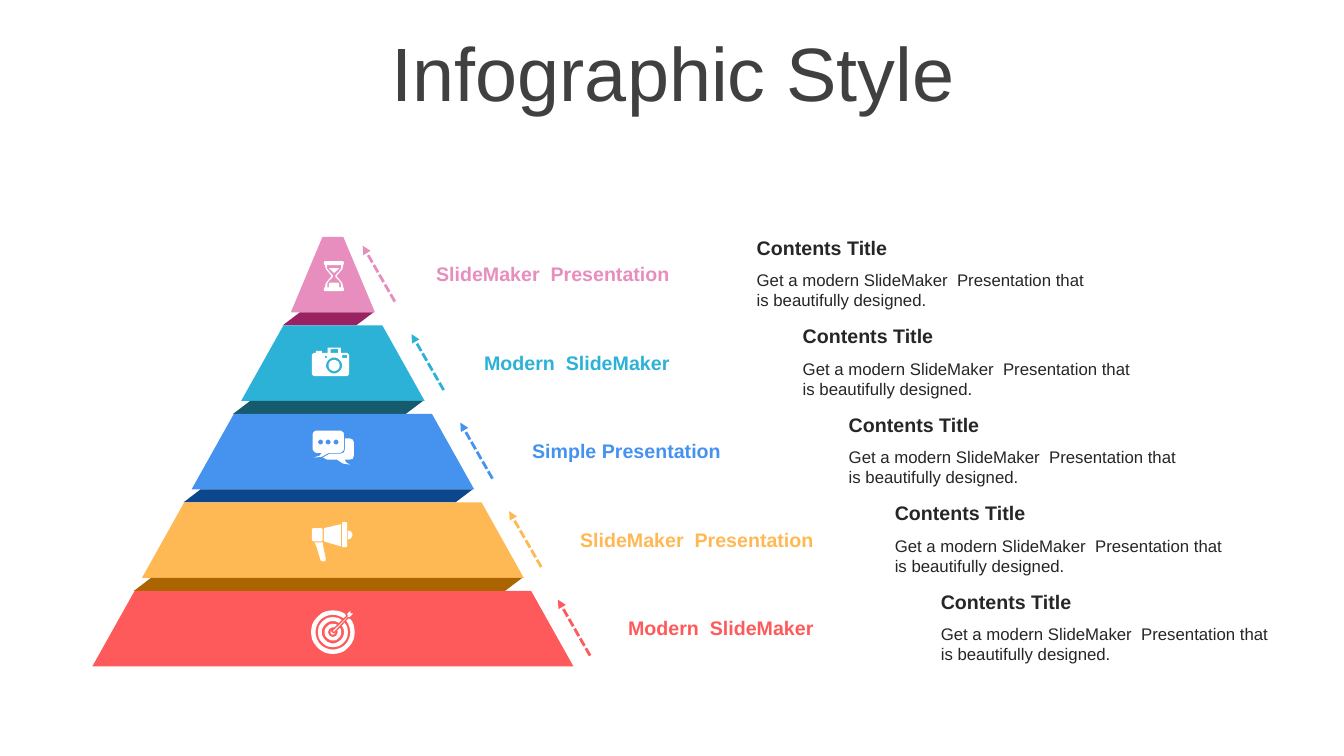
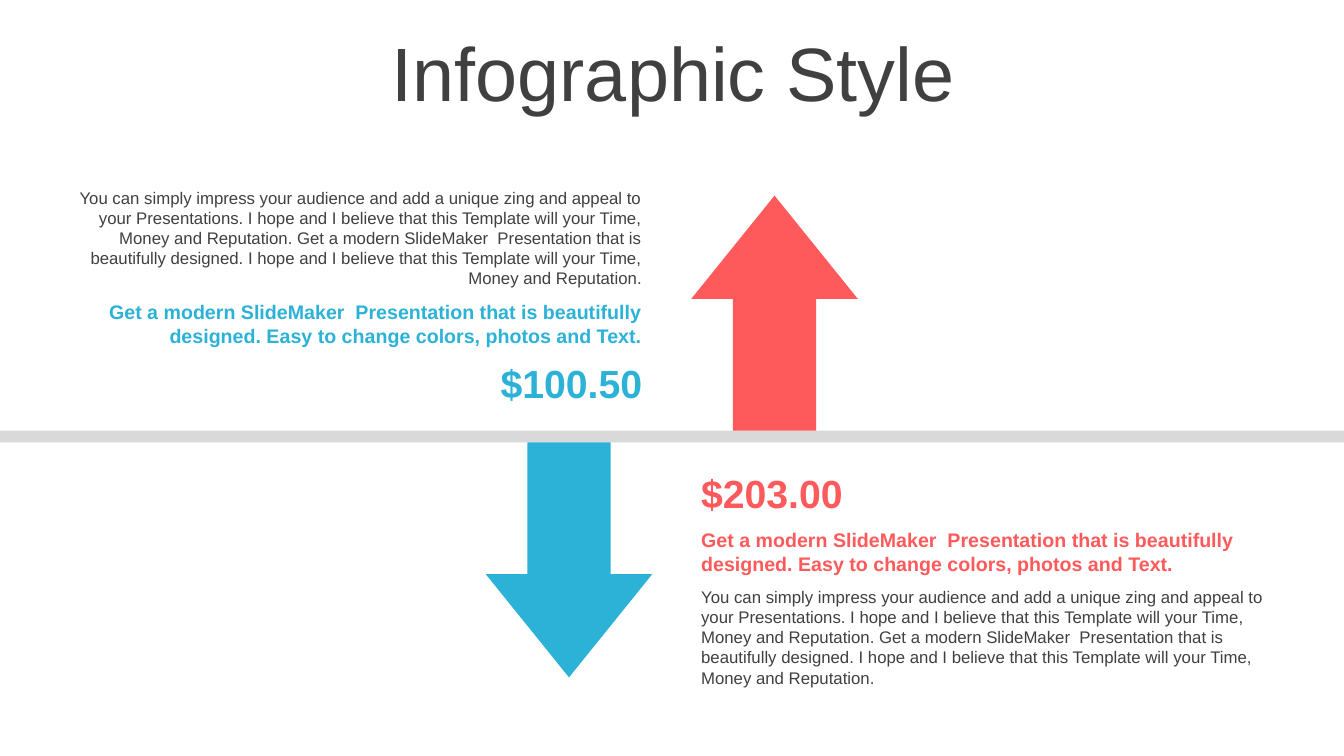
import dataclasses
import math

import pptx
import pptx.dml.color
import pptx.enum.dml
import pptx.enum.shapes
import pptx.enum.text
import pptx.oxml.ns
import pptx.oxml.xmlchemy
import pptx.util

Cm = pptx.util.Cm
Pt = pptx.util.Pt
PRESET = pptx.enum.shapes.MSO_SHAPE
ALIGN = pptx.enum.text.PP_ALIGN


@dataclasses.dataclass(frozen=True)
class Theme:
    """Colours and type sizes shared by all slides."""

    font: str = "Arial"
    title_size: int = 54
    price_size: int = 28
    heading_size: int = 14
    body_size: int = 12
    white: str = "FFFFFF"
    ink: str = "262626"
    grey: str = "404040"
    band: str = "D9D9D9"
    pink: str = "E78EBE"
    pink_shade: str = "9A2162"
    teal: str = "2CB2D7"
    teal_shade: str = "155A6D"
    blue: str = "4592EF"
    blue_shade: str = "0C478E"
    amber: str = "FFB954"
    amber_shade: str = "AA6400"
    red: str = "FE5A5B"


THEME = Theme()
SLIDE_WIDTH, SLIDE_HEIGHT = 33.87, 19.05
TITLE = "Infographic Style"
BLURB = "Get a modern SlideMaker  Presentation that is beautifully designed."
LEAD = BLURB + " Easy to change colors, photos and Text."
HOPE = "I hope and I believe that this Template will your Time, Money and Reputation."
PITCH = (
    "You can simply impress your audience and add a unique zing and appeal to "
    f"your Presentations. {HOPE} {BLURB} {HOPE}"
)


def rgb(value):
    """Return a colour object for a hex string."""
    return pptx.dml.color.RGBColor.from_string(value)


def paint(shape, fill, outline=None):
    """Give a shape a flat fill and an optional outline."""
    shape.shadow.inherit = False
    shape.fill.solid()
    shape.fill.fore_color.rgb = rgb(fill)
    if outline:
        shape.line.color.rgb = rgb(outline)
        shape.line.width = Pt(1)
    else:
        shape.line.fill.background()


def add_preset(page, kind, box, fill, adjustments=()):
    """Add a flat preset shape in a box given in centimetres."""
    shape = page.shapes.add_shape(kind, *map(Cm, box))
    for index, value in enumerate(adjustments):
        shape.adjustments[index] = value
    paint(shape, fill)


def style(para, size, color, bold=False, align=ALIGN.LEFT):
    """Format a whole paragraph."""
    para.alignment = align
    para.font.name = THEME.font
    para.font.size = Pt(size)
    para.font.bold = bold
    para.font.color.rgb = rgb(color)


def add_text(page, box, text, size, color, bold=False, align=ALIGN.LEFT):
    """Add a wrapped one-paragraph text box."""
    frame = page.shapes.add_textbox(*map(Cm, box)).text_frame
    frame.word_wrap = True
    frame.text = text
    style(frame.paragraphs[0], size, color, bold, align)


def add_page(deck):
    """Add a title-only slide with the shared title."""
    page = deck.slides.add_slide(deck.slide_layouts[5])
    title = page.shapes.title
    title.left, title.top, title.width, title.height = map(Cm, (0.89, 0.94, 32.16, 2))
    frame = title.text_frame
    frame.text = TITLE
    frame.word_wrap = True
    frame.auto_size = pptx.enum.text.MSO_AUTO_SIZE.NONE
    frame.vertical_anchor = pptx.enum.text.MSO_ANCHOR.MIDDLE
    para = frame.paragraphs[0]
    para.line_spacing = 0.9
    style(para, THEME.title_size, THEME.grey, align=ALIGN.CENTER)
    return page


def arc(x, y, radius, start=0, sweep=360):
    """Return points along an arc, with angles in degrees."""
    steps = max(4, sweep // 10)
    angles = [math.radians(start + sweep * step / steps) for step in range(steps + 1)]
    return [(x + radius * math.cos(a), y + radius * math.sin(a)) for a in angles]


def block(left, top, right, bottom, radius=0):
    """Return the outline of a rectangle with optional round corners."""
    if not radius:
        return [(left, top), (right, top), (right, bottom), (left, bottom)]
    corners = (
        (left + radius, top + radius, 180),
        (right - radius, top + radius, 270),
        (right - radius, bottom - radius, 0),
        (left + radius, bottom - radius, 90),
    )
    return [point for x, y, start in corners for point in arc(x, y, radius, start, 90)]


HOURGLASS = [
    block(-23, -34, 28, -24, 4),
    block(-23, 32, 28, 42, 4),
    [(-20, -24), (-18, -14), (-12, -7), (-3, 4), (-12, 14), (-18, 22), (-20, 32),
     (26, 32), (24, 22), (18, 14), (9, 4), (18, -7), (24, -14), (26, -24)],
    [(-15, -24), (-15, -16), (-10, -9), (0, 2), (0, 6), (-10, 16), (-14, 22), (-14, 32),
     (20, 32), (20, 22), (16, 16), (6, 6), (6, 2), (16, -9), (21, -16), (21, -24)],
    [(-10, -16), (16, -16), (13, -13), (3, -4), (-7, -13)],
    [(-10, 32), (-10, 22), (-5, 20), (11, 20), (16, 22), (16, 32)],
]
CAMERA = [
    block(-53, -26, 41, 33, 8),
    block(-43, -31, -28, -26),
    block(-13, -39, 20, -26),
    block(-6, -35, 13, -26),
    block(-20, -18, -15, -13),
    block(23, -20, 36, -13),
    arc(3, 6, 20),
    arc(3, 6, 14),
]
CHAT = [
    block(-51, -53, 28, 3, 11),
    [(-10, 3), (-28, 13), (-48, 15), (-33, 10), (-28, 3)],
    *[arc(x, -24, 6) for x in (-31, -12, 8)],
    [(30, -33), (43, -33), (50, -30), (53, -23), (53, 10), (50, 18), (43, 20),
     (30, 20), (33, 27), (43, 33), (25, 30), (10, 20), (-15, 20), (-25, 15),
     (-8, 5), (20, 5), (28, 2), (30, -5)],
]
MEGAPHONE = [
    [(-25, 6), (-46, 6), (-41, 18), (-31, 51), (-25, 54), (-19, 53), (-18, 46), (-25, 13)],
    block(-53, -30, -26, 3, 4),
    [(20, -40), (20, 16), (-23, 3), (-23, -30)],
    block(23, -45, 36, 18, 3),
    arc(38, -13, 11, -90, 180),
]
TARGET = [arc(0, 9, radius) for radius in (55, 44, 38, 28, 21, 12, 6)]
DART = [
    [(46, -50), (46, -40), (56, -40), (43, -27), (38, -27),
     (3, 11), (-3, 6), (36, -32), (33, -37)],
]


@dataclasses.dataclass(frozen=True)
class Layer:
    """One step of the pyramid."""

    label: str
    color: str
    shade: str | None
    icon: list


LAYERS = [
    Layer("SlideMaker  Presentation", THEME.pink, THEME.pink_shade, HOURGLASS),
    Layer("Modern  SlideMaker", THEME.teal, THEME.teal_shade, CAMERA),
    Layer("Simple Presentation", THEME.blue, THEME.blue_shade, CHAT),
    Layer("SlideMaker  Presentation", THEME.amber, THEME.amber_shade, MEGAPHONE),
    Layer("Modern  SlideMaker", THEME.red, None, TARGET),
]


def add_icon(page, x, y, outlines, outline_color=None):
    """Draw white outlines, in hundredths of a centimetre, around a centre."""
    first, *others = outlines
    builder = page.shapes.build_freeform(*first[0], scale=Cm(0.01))
    builder.add_line_segments(first[1:], close=True)
    for points in others:
        builder.move_to(*points[0])
        builder.add_line_segments(points[1:], close=True)
    paint(builder.convert_to_shape(Cm(x), Cm(y)), THEME.white, outline_color)


def add_dashed_arrow(page, x, y, color):
    """Draw a dashed arrow that climbs to the left from a point."""
    arrow = page.shapes.add_connector(
        pptx.enum.shapes.MSO_CONNECTOR.STRAIGHT, *map(Cm, (x, y, x - 0.81, y - 1.41))
    )
    arrow.line.color.rgb = rgb(color)
    arrow.line.width = Pt(2)
    arrow.line.dash_style = pptx.enum.dml.MSO_LINE.SQUARE_DOT
    properties = arrow._element.spPr
    line = properties.find(pptx.oxml.ns.qn("a:ln"))
    head = line.makeelement(pptx.oxml.ns.qn("a:tailEnd"), {"type": "triangle"})
    line.append(head)
    properties.append(properties.makeelement(pptx.oxml.ns.qn("a:effectLst"), {}))


def add_layer(page, index, center, top, layer):
    """Draw one pyramid step with its icon, arrow and label."""
    height, shade_height = 1.9, 0.33
    width = 2.12 + 2.5 * index
    slope = 0.56 if index else 0.42
    add_preset(page, PRESET.TRAPEZOID, (center - width / 2, top, width, height),
               layer.color, (slope,))
    if layer.shade:
        shade_width = width + 0.17
        shade_box = (center - 0.12 - shade_width / 2, top + height, shade_width, shade_height)
        add_preset(page, PRESET.PARALLELOGRAM, shade_box, layer.shade, (1.32,))
    add_icon(page, center, top + 0.95, layer.icon)
    if layer.icon is TARGET:
        add_icon(page, center, top + 0.95, DART, layer.color)
    add_dashed_arrow(page, center + 1.56 + 1.23 * index, top + 1.63, layer.color)
    add_text(page, (center + 2.35 + 1.21 * index, top + 0.51, 6.76, 0.86),
             layer.label, THEME.heading_size, layer.color, bold=True)


def add_content(page, left, top):
    """Write a heading with a short text below it."""
    add_text(page, (left, top, 8.89, 0.86), "Contents Title",
             THEME.heading_size, THEME.ink, bold=True)
    add_text(page, (left, top + 0.86, 8.89, 1.27), BLURB, THEME.body_size, THEME.ink)


def pyramid_slide(deck):
    """Build the five-step pyramid slide."""
    page = add_page(deck)
    for index, layer in enumerate(LAYERS):
        top = 5.97 + 2.23 * index
        add_layer(page, index, 8.39, top, layer)
        add_content(page, 18.82 + 1.16 * index, top - 0.15)


def add_price_column(page, left, top, price, color, align, price_first):
    """Stack price, lead and text, or the reverse, in one column."""
    rows = [
        (1.47, price, THEME.price_size, color, True),
        (1.48, LEAD, THEME.heading_size, color, True),
        (2.84, PITCH, THEME.body_size, THEME.grey, False),
    ]
    for height, text, size, ink, bold in rows if price_first else reversed(rows):
        add_text(page, (left, top, 15.21, height), text, size, ink, bold, align)
        top += height


def price_slide(deck):
    """Build the slide with a rising and a falling arrow."""
    page = add_page(deck)
    band_top, band_height = 10.85, 0.3
    arrow_width, arrow_height = 4.2, 5.92
    add_preset(page, PRESET.RECTANGLE, (0, band_top, SLIDE_WIDTH, band_height), THEME.band)
    arrows = [
        (PRESET.UP_ARROW, 17.42, band_top - arrow_height, THEME.red),
        (PRESET.DOWN_ARROW, 12.24, band_top + band_height, THEME.teal),
    ]
    for kind, left, top, color in arrows:
        add_preset(page, kind, (left, top, arrow_width, arrow_height), color, (0.5, 0.62))
    add_price_column(page, 1.22, 4.6, "$100.50", THEME.teal, ALIGN.RIGHT, False)
    add_price_column(page, 17.42, 11.71, "$203.00", THEME.red, ALIGN.LEFT, True)


def main():
    """Build and save the deck."""
    deck = pptx.Presentation()
    deck.slide_width, deck.slide_height = Cm(SLIDE_WIDTH), Cm(SLIDE_HEIGHT)
    pyramid_slide(deck)
    price_slide(deck)
    deck.save("out.pptx")


if __name__ == "__main__":
    main()
